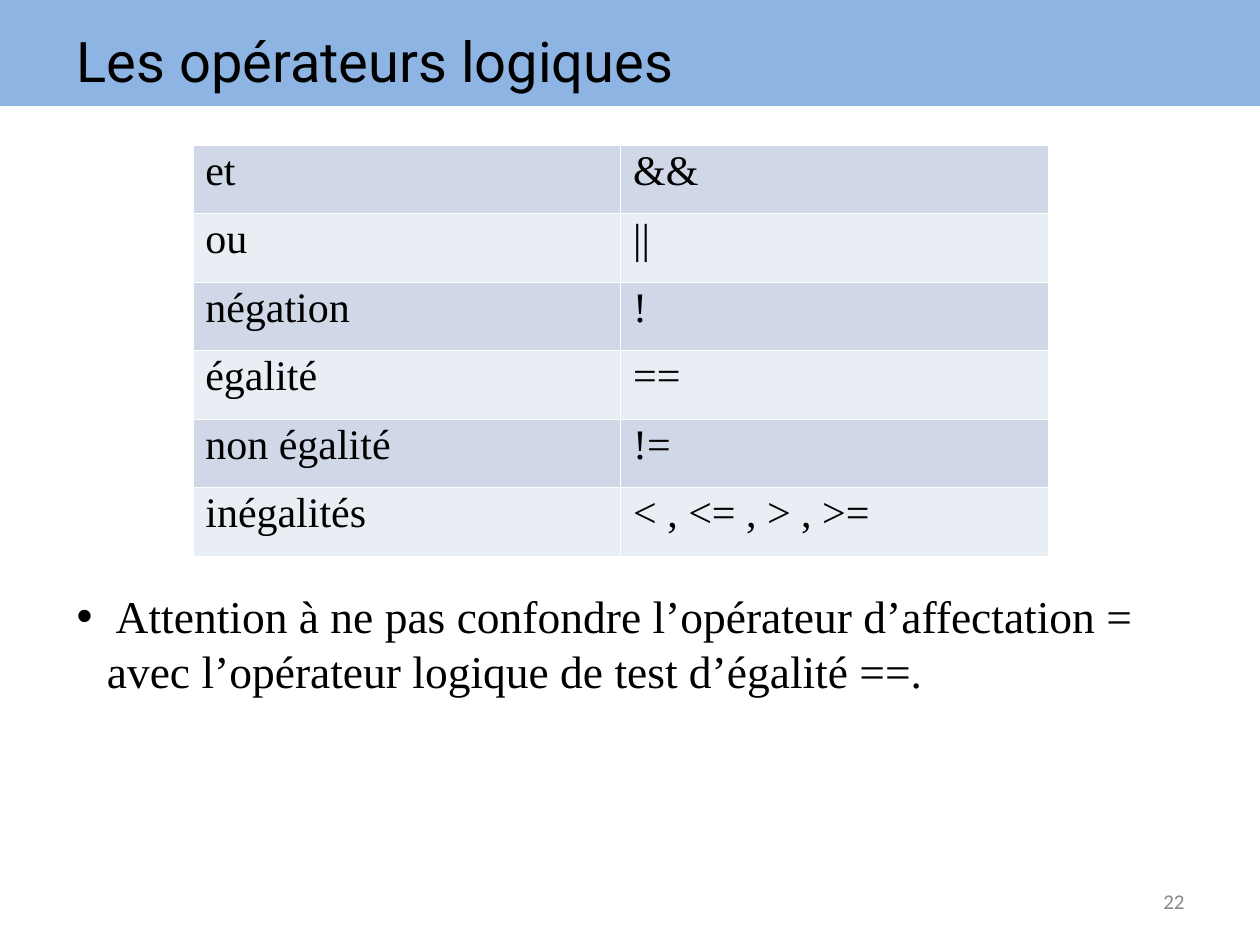
from dataclasses import dataclass

from lxml.etree import SubElement
from pptx import Presentation
from pptx.dml.color import RGBColor
from pptx.enum.shapes import MSO_SHAPE as Shape
from pptx.enum.text import MSO_ANCHOR as Anchor, PP_ALIGN as Align
from pptx.oxml.ns import qn
from pptx.util import Inches, Pt

WIDTH, HEIGHT = Inches(10), Inches(7.5)
BLACK = RGBColor(0x00, 0x00, 0x00)
WHITE = RGBColor(0xFF, 0xFF, 0xFF)
GREY = RGBColor(0x89, 0x89, 0x89)
BANNER_BLUE = RGBColor(0x8E, 0xB4, 0xE3)
BANDS = (RGBColor(0xD0, 0xD8, 0xE8), RGBColor(0xE9, 0xED, 0xF4))
SERIF = "Times New Roman"


@dataclass(frozen=True)
class Box:
    left: float
    top: float
    width: float
    height: float

    def lengths(self) -> tuple[int, int, int, int]:
        return tuple(Inches(n) for n in (self.left, self.top, self.width, self.height))


@dataclass(frozen=True)
class Operator:
    meaning: str
    symbol: str


OPERATORS = (
    Operator("et", "&&"),
    Operator("ou", "||"),
    Operator("négation", "!"),
    Operator("égalité", "=="),
    Operator("non égalité", "!="),
    Operator("inégalités", "< , <= , > , >="),
)


def write(frame, text: str, *, font: str, size: float, color: RGBColor = BLACK,
          align=Align.LEFT, spacing: float = 1.0):
    paragraph = frame.paragraphs[0]
    paragraph.alignment = align
    paragraph.line_spacing = spacing
    run = paragraph.add_run()
    run.text = text
    run.font.name = font
    run.font.size = Pt(size)
    run.font.color.rgb = color
    return paragraph


def add_text(slide, box: Box, text: str, *, anchor=Anchor.MIDDLE, **text_format):
    frame = slide.shapes.add_textbox(*box.lengths()).text_frame
    frame.word_wrap = True
    frame.vertical_anchor = anchor
    return write(frame, text, **text_format)


def add_bullet(paragraph, indent: float) -> None:
    properties = paragraph._p.get_or_add_pPr()
    properties.set("marL", str(Inches(indent)))
    properties.set("indent", str(-Inches(indent)))
    color = SubElement(properties, qn("a:buClr"))
    SubElement(color, qn("a:srgbClr"), val=str(BLACK))
    SubElement(properties, qn("a:buFont"), typeface="Arial")
    SubElement(properties, qn("a:buChar"), char="•")


def add_borders(cell, color: RGBColor, points: float) -> None:
    properties = cell._tc.get_or_add_tcPr()
    for position, side in enumerate(("lnL", "lnR", "lnT", "lnB")):
        line = SubElement(properties, qn(f"a:{side}"), w=str(Pt(points)))
        fill = SubElement(line, qn("a:solidFill"))
        SubElement(fill, qn("a:srgbClr"), val=str(color))
        properties.insert(position, line)


def add_operator_table(slide, box: Box, operators: tuple[Operator, ...]) -> None:
    table = slide.shapes.add_table(len(operators), 2, *box.lengths()).table
    for row, operator in enumerate(operators):
        for column, text in enumerate((operator.meaning, operator.symbol)):
            cell = table.cell(row, column)
            cell.fill.solid()
            cell.fill.fore_color.rgb = BANDS[row % len(BANDS)]
            add_borders(cell, WHITE, 0.06)
            write(cell.text_frame, text, font=SERIF, size=24, spacing=0.92)


def add_banner(slide, box: Box) -> None:
    banner = slide.shapes.add_shape(Shape.RECTANGLE, *box.lengths())
    banner.shadow.inherit = False
    banner.fill.solid()
    banner.fill.fore_color.rgb = BANNER_BLUE
    banner.line.fill.background()


def main() -> None:
    presentation = Presentation()
    presentation.slide_width, presentation.slide_height = WIDTH, HEIGHT
    slide = presentation.slides.add_slide(presentation.slide_layouts[6])

    add_banner(slide, Box(0, 0, WIDTH.inches, 0.84))
    add_text(slide, Box(0.51, 0.13, 9, 0.69), "Les opérateurs logiques",
             font="Roboto", size=32)
    add_text(slide, Box(7.17, 6.95, 2.33, 0.4), "22",
             font="Calibri", size=12, color=GREY, align=Align.RIGHT)
    add_operator_table(slide, Box(1.53, 1.15, 6.79, 3.26), OPERATORS)
    warning = add_text(
        slide, Box(0.51, 4.62, 8.82, 1.4),
        " Attention à ne pas confondre l’opérateur d’affectation = "
        "avec l’opérateur logique de test d’égalité ==.",
        font=SERIF, size=26, anchor=Anchor.TOP)
    add_bullet(warning, 0.24)

    presentation.save("out.pptx")


if __name__ == "__main__":
    main()
